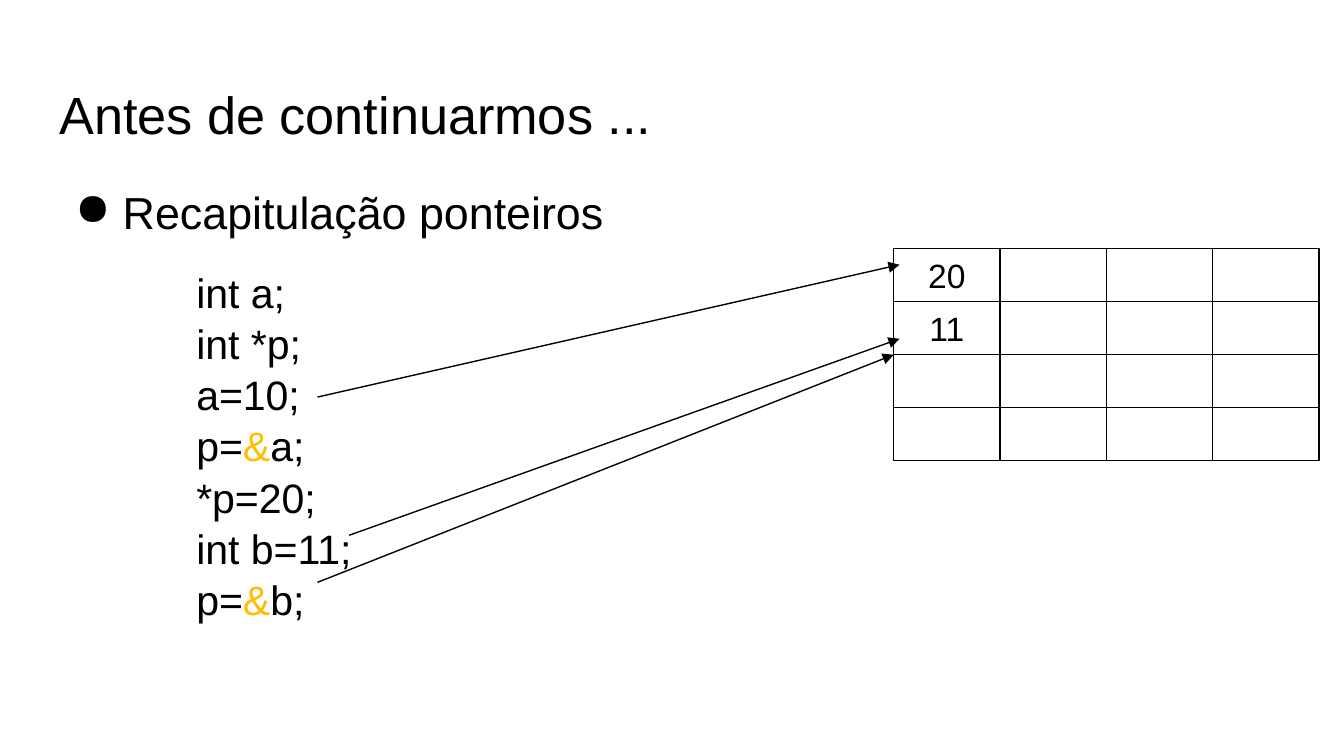
from lxml import etree
from pptx import Presentation
from pptx.dml.color import RGBColor
from pptx.enum.shapes import MSO_CONNECTOR, MSO_SHAPE
from pptx.enum.text import MSO_ANCHOR, MSO_AUTO_SIZE, PP_ALIGN
from pptx.oxml.ns import qn
from pptx.util import Cm, Pt

RECTANGLE = MSO_SHAPE.RECTANGLE
STRAIGHT = MSO_CONNECTOR.STRAIGHT
TOP, MIDDLE = MSO_ANCHOR.TOP, MSO_ANCHOR.MIDDLE
NO_AUTOFIT = MSO_AUTO_SIZE.NONE
LEFT, CENTER = PP_ALIGN.LEFT, PP_ALIGN.CENTER

BLACK = RGBColor(0x00, 0x00, 0x00)
AMBER = RGBColor(0xFF, 0xBF, 0x00)
FONT = "Arial"
LINE_SPACING = 1.04

CODE = [
    ["int a;"],
    ["int *p;"],
    ["a=10;"],
    ["p=", "&", "a;"],
    ["*p=20;"],
    ["int b=11;"],
    ["p=", "&", "b;"],
]
GRID_SIZE = 4
GRID_LEFT, GRID_TOP = 16.89, 4.7
CELL_WIDTH, CELL_HEIGHT = 2.01, 1
MEMORY = {(0, 0): "20", (1, 0): "11"}
POINTERS = [
    ((6, 7.5), (17, 5)),
    ((6, 11), (16.89, 6.7)),
    ((6.6, 10.11), (17, 6.4)),
]


def add_span(para, text, size, color=BLACK):
    span = para.add_run()
    span.text = text
    span.font.name = FONT
    span.font.size = Pt(size)
    span.font.color.rgb = color


def prepare_frame(frame):
    frame.word_wrap = True
    frame.auto_size = NO_AUTOFIT
    frame.vertical_anchor = TOP
    frame.margin_left = frame.margin_right = Cm(0.25)
    frame.margin_top = frame.margin_bottom = Cm(0.25)


def set_indent(para, margin, indent=0):
    properties = para._p.get_or_add_pPr()
    properties.set("marL", str(Cm(margin)))
    properties.set("indent", str(Cm(indent)))
    return properties


def add_title(page, text):
    title = page.shapes.title
    title.left, title.top = Cm(0.87), Cm(1.25)
    title.width, title.height = Cm(23.67), Cm(1.6)
    prepare_frame(title.text_frame)
    para = title.text_frame.paragraphs[0]
    para.alignment = LEFT
    para.line_spacing = LINE_SPACING
    add_span(para, text, 28)


def add_body(page, heading):
    box = page.shapes.add_textbox(Cm(0.87), Cm(3.2), Cm(14.63), Cm(9.5))
    frame = box.text_frame
    prepare_frame(frame)
    para = frame.paragraphs[0]
    para.line_spacing = LINE_SPACING
    properties = set_indent(para, 1.2, -0.9)
    etree.SubElement(properties, qn("a:buChar")).set("char", "●")
    add_span(para, heading, 24)
    for number, pieces in enumerate(CODE):
        para = frame.add_paragraph()
        para.line_spacing = LINE_SPACING
        if number == 0:
            para.space_before = Pt(14.2)
        set_indent(para, 2.59)
        for piece in pieces:
            add_span(para, piece, 22, AMBER if piece == "&" else BLACK)


def add_cell(page, row, column):
    cell = page.shapes.add_shape(
        RECTANGLE,
        Cm(GRID_LEFT + column * CELL_WIDTH),
        Cm(GRID_TOP + row * CELL_HEIGHT),
        Cm(CELL_WIDTH),
        Cm(CELL_HEIGHT),
    )
    cell.shadow.inherit = False
    cell.fill.background()
    cell.line.color.rgb = BLACK
    cell.line.width = Pt(0.75)
    if (row, column) in MEMORY:
        cell.text_frame.vertical_anchor = MIDDLE
        para = cell.text_frame.paragraphs[0]
        para.alignment = CENTER
        add_span(para, MEMORY[row, column], 18)


def add_arrow(page, start, end):
    points = [Cm(value) for value in (*start, *end)]
    arrow = page.shapes.add_connector(STRAIGHT, *points)
    arrow.line.color.rgb = BLACK
    arrow.line.width = Pt(0.75)
    line = arrow.line._get_or_add_ln()
    etree.SubElement(line, qn("a:tailEnd")).set("type", "triangle")
    etree.SubElement(arrow._element.spPr, qn("a:effectLst"))


def main():
    deck = Presentation()
    deck.slide_width, deck.slide_height = Cm(25.4), Cm(14.28)
    page = deck.slides.add_slide(deck.slide_layouts[5])
    add_title(page, "Antes de continuarmos ...")
    add_body(page, "Recapitulação ponteiros")
    for row in range(GRID_SIZE):
        for column in range(GRID_SIZE):
            add_cell(page, row, column)
    for start, end in POINTERS:
        add_arrow(page, start, end)
    deck.save("out.pptx")


if __name__ == "__main__":
    main()
